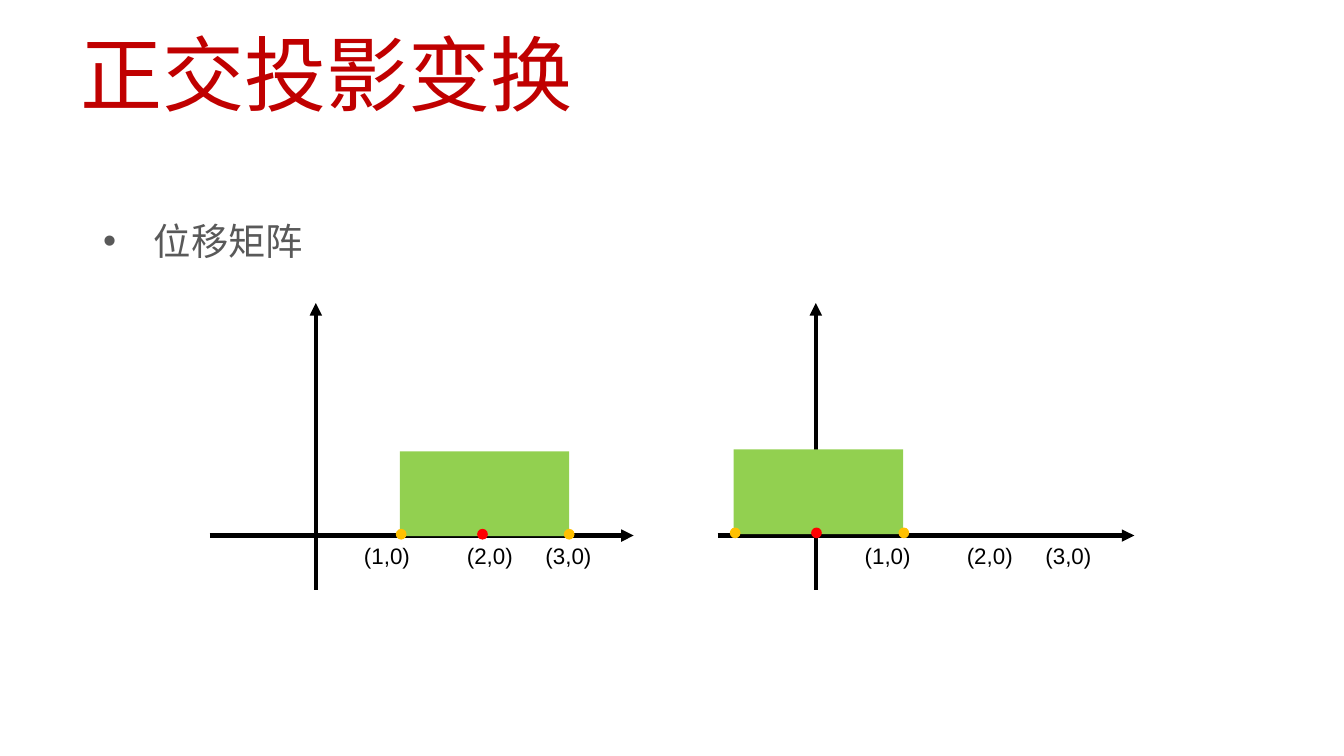
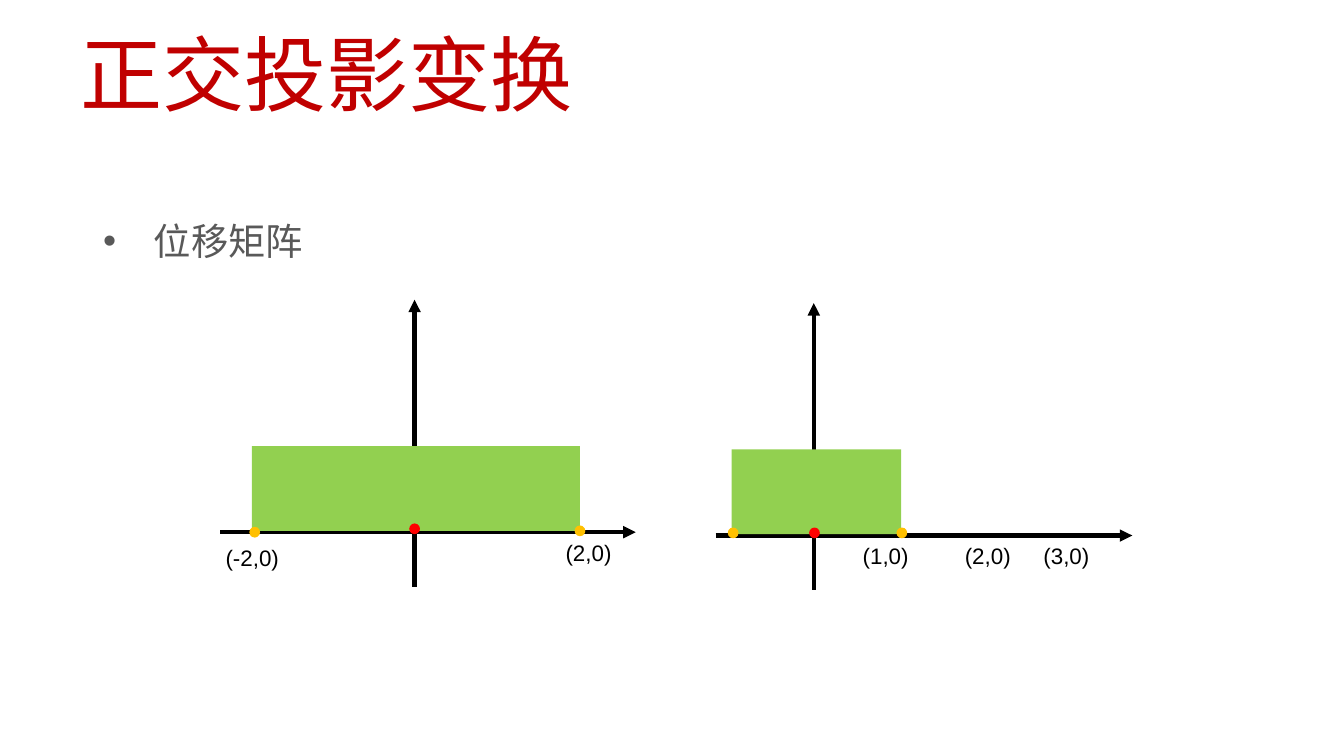
"""Build two slides on the orthographic projection transform."""
from dataclasses import dataclass
from lxml import etree
from pptx import Presentation, util as u
from pptx.dml.color import RGBColor
from pptx.enum import shapes as sh, text as tx
from pptx.oxml.ns import qn

TITLE = "正交投影变换"
TOPIC = "位移矩阵"
FAR = {
    "origin": (470, 797), "span": (312, 943), "box": (595, 672, 252),
    "marks": [("(1,0)", 522, 797, 110), ("(2,0)", 675, 797, 110),
              ("(3,0)", 792, 797, 110)],
    "dots": [(589, 787), (710, 787), (839, 787)],
}
MOVED = {
    "origin": (1214, 797), "span": (1068, 1688), "box": (1092, 669, 252),
    "marks": [("(1,0)", 1267, 797, 110), ("(2,0)", 1419, 797, 110),
              ("(3,0)", 1536, 797, 110)],
    "dots": [(1086, 785), (1207, 785), (1337, 785)],
}
WIDE = {
    "origin": (617, 792), "span": (328, 946), "box": (375, 664, 488),
    "marks": [("(-2,0)", 316, 800, 120), ("(2,0)", 822, 793, 110)],
    "dots": [(371, 784), (609, 779), (855, 782)],
}
SLIDES = [[(FAR, 0), (MOVED, 0)], [(WIDE, 0), (MOVED, -3)]]
PX = 4572
WIDTH, HEIGHT = 2000, 1125
DOWN, UP, HIGH, DOT, HANG = 81, 346, 126, 16, 75


@dataclass(frozen=True)
class Theme:
    """Colours, fonts and sizes."""
    title: str = "C00000"
    body: str = "595959"
    ink: str = "000000"
    box: str = "92D050"
    edge: str = "FFC000"
    mid: str = "FF0000"
    han: str = "Noto Sans CJK SC"
    latin: str = "Arial"
    big: int = 44
    text: int = 20
    small: int = 12
    rule: float = 2.25


T = Theme()


def px(*vals):
    """Turn px lengths into EMU."""
    return [v * PX for v in vals]


def style(para, words, size, color, face):
    """Fill a paragraph and set its font."""
    para.text = words
    font = para.font
    font.size, font.name = u.Pt(size), face
    font.color.rgb = RGBColor.from_string(color)
    props = para._p.pPr.find(qn("a:defRPr"))
    etree.SubElement(props, qn("a:ea"), typeface=face)


def write(parts, at, words, size, color, face, wrap=True):
    """Add a text box and return its frame and paragraph."""
    frame = parts.add_textbox(*px(*at)).text_frame
    frame.word_wrap = wrap
    para = frame.paragraphs[0]
    style(para, words, size, color, face)
    return frame, para


def head(parts):
    """Add the title and the bulleted topic."""
    frame, _ = write(parts, (100, 30, 1800, 157), TITLE, T.big, T.title, T.han)
    frame.vertical_anchor = tx.MSO_ANCHOR.MIDDLE
    _, para = write(parts, (134, 281, 1800, 858), TOPIC, T.text, T.body, T.han)
    para.line_spacing, para.space_before = 1.5, u.Pt(4)
    props = para._p.pPr
    props.set("marL", str(HANG * PX))
    props.set("indent", str(-HANG * PX))
    last = props.find(qn("a:defRPr"))
    for tag, key, val in (("a:buFont", "typeface", T.latin),
                          ("a:buChar", "char", "•")):
        item = etree.Element(qn(tag))
        item.set(key, val)
        last.addprevious(item)


def arrow(parts, *ends):
    """Add an axis with an arrowhead at its end."""
    axis = parts.add_connector(sh.MSO_CONNECTOR.STRAIGHT, *px(*ends))
    axis.line.color.rgb = RGBColor.from_string(T.ink)
    axis.line.width = u.Pt(T.rule)
    props = axis._element.spPr
    etree.SubElement(props.find(qn("a:ln")), qn("a:tailEnd"), type="triangle")
    etree.SubElement(props, qn("a:effectLst"))


def solid(parts, kind, at, color):
    """Add a filled shape with no outline."""
    form = parts.add_shape(kind, *px(*at))
    form.shadow.inherit = False
    form.fill.solid()
    form.fill.fore_color.rgb = RGBColor.from_string(color)
    form.line.fill.background()


def plot(parts, data, dx):
    """Draw axes, box, marks and dots, moved right by dx."""
    ox, oy = data["origin"]
    start, end = data["span"]
    arrow(parts, start + dx, oy, end + dx, oy)
    arrow(parts, ox + dx, oy + DOWN, ox + dx, oy - UP)
    left, top, wide = data["box"]
    solid(parts, sh.MSO_SHAPE.RECTANGLE, (left + dx, top, wide, HIGH), T.box)
    for words, x, y, room in data["marks"]:
        frame, _ = write(parts, (x + dx, y, room, 60), words, T.small, T.ink,
                         T.latin, False)
        frame.auto_size = tx.MSO_AUTO_SIZE.SHAPE_TO_FIT_TEXT
    for (x, y), color in zip(data["dots"], (T.edge, T.mid, T.edge)):
        solid(parts, sh.MSO_SHAPE.OVAL, (x + dx, y, DOT, DOT), color)


def main():
    """Build and save the deck."""
    deck = Presentation()
    deck.slide_width, deck.slide_height = px(WIDTH, HEIGHT)
    for plots in SLIDES:
        parts = deck.slides.add_slide(deck.slide_layouts[6]).shapes
        head(parts)
        for data, dx in plots:
            plot(parts.add_group_shape().shapes, data, dx)
    deck.save("out.pptx")


if __name__ == "__main__":
    main()
